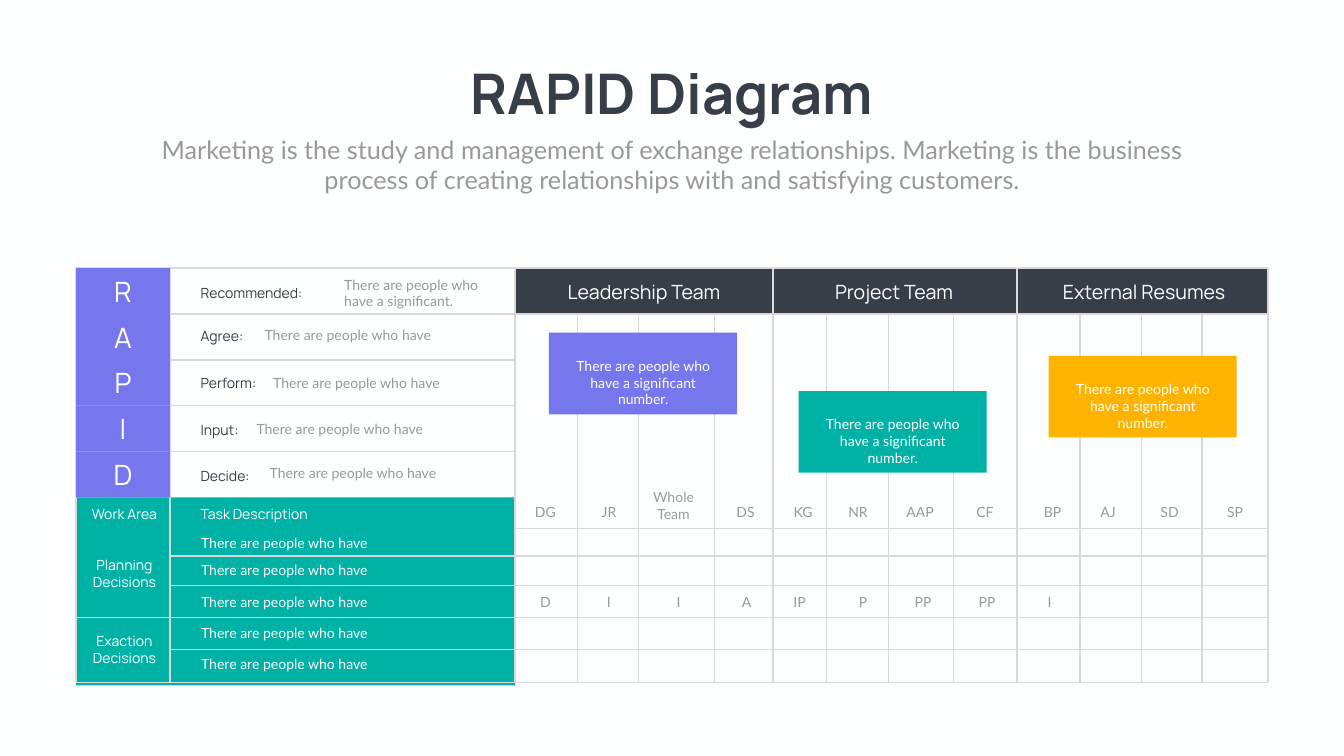
from lxml.etree import SubElement
from pptx import Presentation
from pptx.dml.color import RGBColor
from pptx.enum.shapes import MSO_CONNECTOR, MSO_SHAPE
from pptx.enum.text import MSO_ANCHOR, MSO_AUTO_SIZE, PP_ALIGN
from pptx.oxml.ns import qn
from pptx.util import Inches, Pt

COLORS = {"bg": "FDFFFE", "dark": "363E48", "gray": "999999", "line": "D9D9D9",
          "white": "FFFFFF", "purple": "7676ED", "teal": "00B2A6", "amber": "FEB300"}
RGB = {name: RGBColor.from_string(value) for name, value in COLORS.items()}
LEFT, CENTER = PP_ALIGN.LEFT, PP_ALIGN.CENTER

prs = Presentation()
prs.slide_width, prs.slide_height = Inches(26.66), Inches(15)
s = prs.slides.add_slide(prs.slide_layouts[5])
s.background.fill.solid()
s.background.fill.fore_color.rgb = RGB["bg"]


def add_rect(x, y, w, h, color):
    sp = s.shapes.add_shape(MSO_SHAPE.RECTANGLE, Inches(x), Inches(y), Inches(w), Inches(h))
    sp.shadow.inherit = False
    sp.fill.solid()
    sp.fill.fore_color.rgb = RGB[color]
    sp.line.fill.background()
    return sp


def write(words, x, y, w, h, size=20, font="Lato", color="gray", align=CENTER, sp=None):
    """Write one paragraph in sp, or in a new text box when sp is None."""
    sp = sp or s.shapes.add_textbox(0, 0, 0, 0)
    sp.left, sp.top, sp.width, sp.height = Inches(x), Inches(y), Inches(w), Inches(h)
    tf = sp.text_frame
    tf.word_wrap = True
    tf.auto_size = MSO_AUTO_SIZE.NONE
    tf.vertical_anchor = MSO_ANCHOR.TOP
    p = tf.paragraphs[0]
    p.alignment = align
    r = p.add_run()
    r.text = words
    r.font.size, r.font.name = Pt(size), font
    r.font.color.rgb = RGB[color]
    return sp


# Grid: five equal role rows above the task rows
left, right = 1.51, 25.15
role_x, grid_x = 3.37, 10.22
top, role_h = 5.32, 0.91
bottom = 13.54
role_y = [top + i * role_h for i in range(6)]
team_x = [grid_x, 15.33, 20.17, right]
member_x = [11.45, 12.67, 14.17, 16.4, 17.63, 18.91, 21.42, 22.64, 23.84]
line_h, two_lines_h = 0.44, 0.77
phrase = "There are people who have"

# Heading
title = write("RAPID Diagram", 8.86, 1.12, 8.95, 1.45, 80, "Manrope", "dark", sp=s.shapes.title)
title.text_frame.paragraphs[0].runs[0].font.bold = True
write("Marketing is the study and management of exchange relationships. "
      "Marketing is the business process of creating relationships with "
      "and satisfying customers.", 2.92, 2.61, 20.82, 1.31, 36)

# Filled areas
for x0, x1 in zip(team_x, team_x[1:]):
    add_rect(x0, top, x1 - x0, role_h, "dark")
add_rect(left, role_y[5], grid_x - left, 3.73, "teal")

# Grid lines
lines = [(left, y, right, y) for y in (top, role_y[1], 12.25, bottom)]
lines += [(left, y, grid_x, y) for y in role_y[2:5]]
lines += [(role_x, y, right, y) for y in (11.03, 11.62, 12.89)]
lines += [(grid_x, 10.49, right, 10.49)]
lines += [(x, top, x, bottom) for x in [left, role_x] + team_x]
lines += [(x, role_y[1], x, bottom) for x in member_x]
for ends in lines:
    line = s.shapes.add_connector(MSO_CONNECTOR.STRAIGHT, *[Inches(v) for v in ends])
    line.line.color.rgb = RGB["line"]
    line.line.width = Pt(2)
    SubElement(line._element.spPr, qn("a:effectLst"))

# Roles: letter, name, name's top, note, note's left and top
roles = [("R", "Recommended:", 5.59, "There are people who have a significant.", 6.73, 5.43),
         ("A", "Agree:", 6.45, phrase, 5.15, 6.42),
         ("P", "Perform:", 7.39, phrase, 5.32, 7.38),
         ("I", "Input:", 8.31, phrase, 4.99, 8.29),
         ("D", "Decide:", 9.22, phrase, 5.25, 9.17)]
for y, (letter, name, name_y, note, note_x, note_y) in zip(role_y, roles):
    sp = add_rect(left, y, role_x - left, role_h, "purple")
    write(letter, left, y, role_x - left, role_h, 40, "Manrope", "white", sp=sp)
    sp.text_frame.vertical_anchor = MSO_ANCHOR.MIDDLE
    write(name, 3.88, name_y, 2.67, line_h, font="Manrope", color="dark", align=LEFT)
    first = letter == "R"
    write(note, note_x, note_y, 3.25 if first else 3.86,
          two_lines_h if first else line_h, align=LEFT)

# Team headers
for i, team in enumerate(["Leadership Team", "Project Team", "External Resumes"]):
    write(team, 10.74 + 4.96 * i, 5.5, 4.07, 0.57, 28, "Manrope", "white")

# Work areas and tasks
for area, y, h in [("Work Area", 9.99, line_h), ("Planning Decisions", 10.99, two_lines_h),
                   ("Exaction Decisions", 12.51, two_lines_h)]:
    write(area, left, y, 1.92, h, font="Manrope", color="white")
write("Task Description", 3.88, 9.98, 2.67, line_h, font="Manrope", color="white", align=LEFT)
for y in (10.55, 11.09, 11.72, 12.34, 12.95):
    write(phrase, 3.89, y, 3.86, line_h, color="white", align=LEFT)

# Members and their roles, by the centre of each label
members = [("DG", 10.82), ("JR", 12.08), ("DS", 14.79), ("KG", 15.93), ("NR", 17.02),
           ("AAP", 18.25), ("CF", 19.54), ("BP", 20.88), ("AJ", 21.98), ("SD", 23.2),
           ("SP", 24.5)]
assigned = [("D", 10.82), ("I", 12.08), ("I", 13.46), ("A", 14.81), ("IP", 15.86),
            ("P", 17.12), ("PP", 18.31), ("PP", 19.58), ("I", 20.82)]
for y, labels in [(9.95, members), (11.72, assigned)]:
    for label, x in labels:
        write(label, x - 0.38, y, 0.76, line_h)
write("Whole Team", 12.58, 9.65, 1.56, two_lines_h)

# Callouts
for x, y, color in [(10.89, 6.6, "purple"), (15.84, 7.76, "teal"), (20.8, 7.06, "amber")]:
    add_rect(x, y, 3.73, 1.62, color)
    write("There are people who have a significant number.", x + 0.19, y + 0.44,
          3.36, two_lines_h, color="white")

prs.save("out.pptx")
